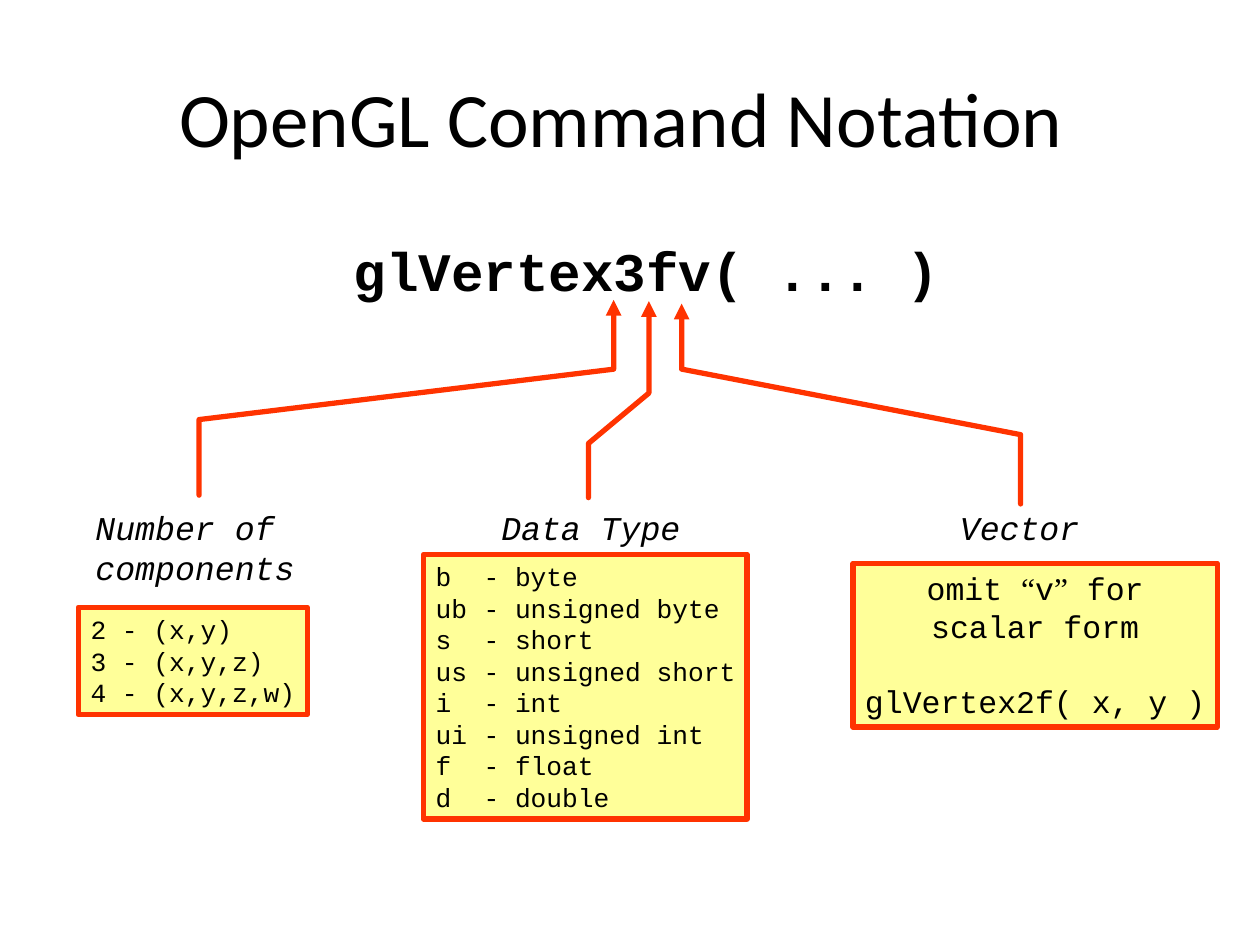
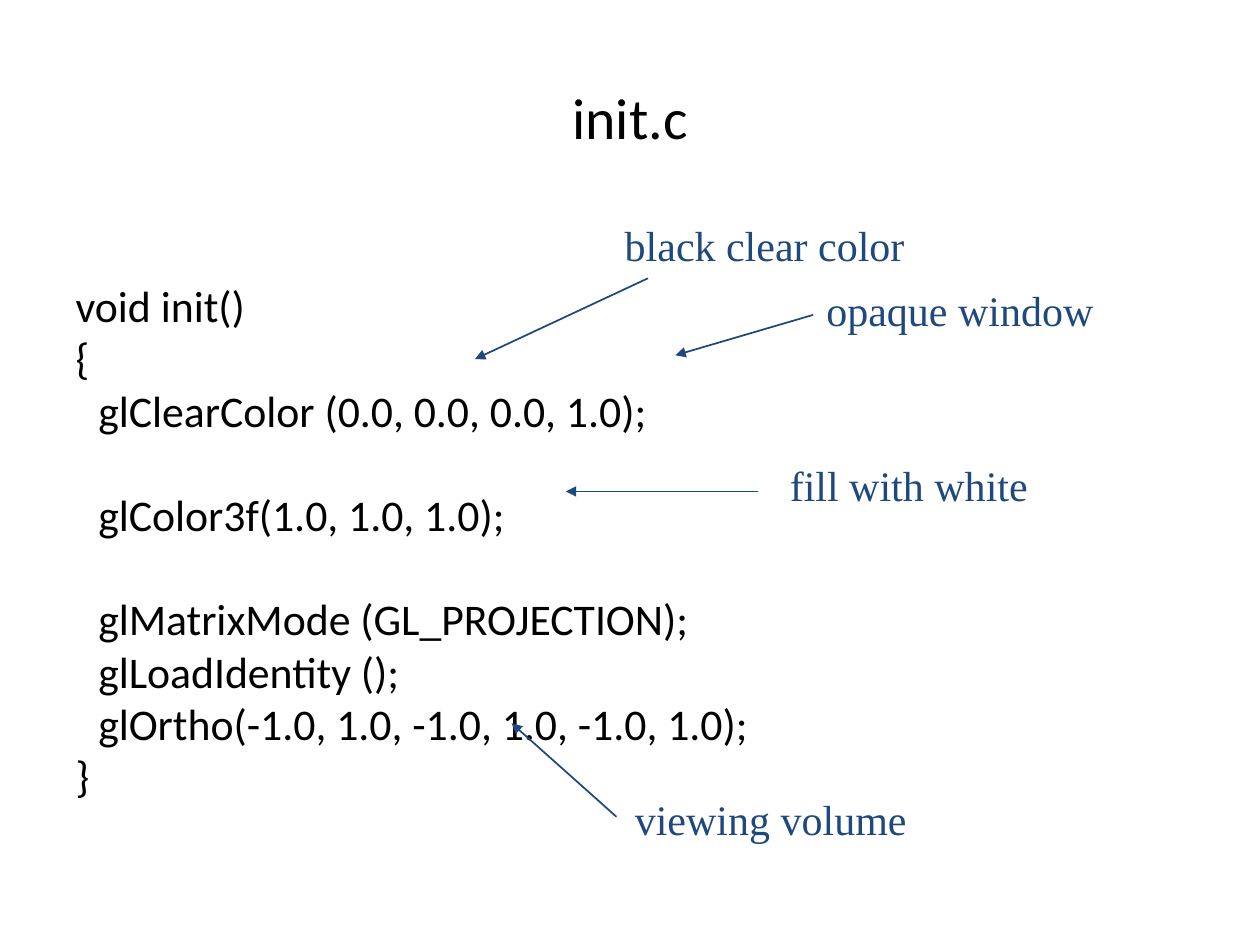
"""Build two slides on OpenGL command notation and an init function."""
from itertools import groupby

from lxml import etree
from pptx import Presentation
from pptx.dml.color import RGBColor
from pptx.enum.dml import MSO_LINE
from pptx.enum.shapes import MSO_CONNECTOR, MSO_SHAPE
from pptx.enum.text import MSO_ANCHOR, MSO_AUTO_SIZE, PP_ALIGN
from pptx.oxml.ns import qn
from pptx.util import Inches, Pt

SOLID = MSO_LINE.SOLID
STRAIGHT, RECT = MSO_CONNECTOR.STRAIGHT, MSO_SHAPE.RECTANGLE
TOP, MIDDLE = MSO_ANCHOR.TOP, MSO_ANCHOR.MIDDLE
NO_FIT = MSO_AUTO_SIZE.NONE
LEFT, CENTER = PP_ALIGN.LEFT, PP_ALIGN.CENTER

BLACK, RED, YELLOW, NAVY = "000000", "FF3300", "FFFF99", "1F497D"
SANS, MONO, SERIF = "Calibri", "Courier New", "Times New Roman"
QUOTES = "\u201c\u201d"

COMMAND = {"name": MONO, "size": Pt(31), "bold": True}
HEADING = {"name": MONO, "size": Pt(19), "italic": True}
LISTING = {"name": MONO, "size": Pt(15)}
REMARK = {"name": MONO, "size": Pt(18)}
CODE = {"name": SANS, "size": Pt(25)}
NOTE = {"name": SERIF, "size": Pt(24)}
FRAME = {"word_wrap": False, "auto_size": NO_FIT, "vertical_anchor": TOP}
CODE_PITCH = 29.85


def rgb(color):
    return RGBColor.from_string(color)


def apply(obj, fmt):
    for key, value in fmt.items():
        setattr(obj, key, value)


def place(sp, box):
    apply(sp, dict(zip(("left", "top", "width", "height"), map(Inches, box))))


def write(tf, lines, fmt, color=BLACK, align=LEFT):
    for i, line in enumerate(lines):
        p = tf.add_paragraph() if i else tf.paragraphs[0]
        p.alignment = align
        for quoted, chars in groupby(line, lambda c: c in QUOTES):
            r = p.add_run()
            r.text = "".join(chars)
            apply(r.font, {**fmt, "name": SERIF} if quoted else fmt)
            r.font.color.rgb = rgb(color)


def add_title(slide, text, size):
    sp = slide.shapes.title
    place(sp, (0.5, 0.3, 9, 1.25))
    apply(sp.text_frame, {"vertical_anchor": MIDDLE, "auto_size": NO_FIT})
    write(sp.text_frame, [text], {"name": SANS, "size": Pt(size)}, align=CENTER)


def add_label(slide, box, lines, fmt, color=BLACK, align=LEFT):
    sp = slide.shapes.add_textbox(*map(Inches, box))
    apply(sp.text_frame, FRAME)
    write(sp.text_frame, lines, fmt, color, align)


def add_panel(slide, box, lines, fmt, align=LEFT):
    sp = slide.shapes.add_shape(RECT, *map(Inches, box))
    sp.shadow.inherit = False
    sp.fill.solid()
    sp.fill.fore_color.rgb = rgb(YELLOW)
    sp.line.color.rgb = rgb(RED)
    sp.line.width = Pt(3)
    apply(sp.text_frame, FRAME)
    write(sp.text_frame, lines, fmt, align=align)
    return sp.text_frame


def set_tab(p, inches):
    tabs = etree.SubElement(p._p.get_or_add_pPr(), qn("a:tabLst"))
    etree.SubElement(tabs, qn("a:tab"), pos=str(Inches(inches)), algn="l")


def style_line(sp, color, width, end):
    sp.line.color.rgb = rgb(color)
    apply(sp.line, {"width": Pt(width), "dash_style": SOLID})
    ln = sp.line._ln
    ln.set("cap", "rnd")
    etree.SubElement(ln, qn("a:round"))
    etree.SubElement(ln, qn(end), type="triangle")


def add_pointer(slide, points):
    start, *rest = [tuple(map(Inches, pt)) for pt in points]
    builder = slide.shapes.build_freeform(*start)
    builder.add_line_segments(rest, close=False)
    sp = builder.convert_to_shape()
    sp.shadow.inherit = False
    sp.fill.background()
    style_line(sp, RED, 3, "a:headEnd")


def add_arrow(slide, start, end):
    sp = slide.shapes.add_connector(STRAIGHT, *map(Inches, start + end))
    style_line(sp, NAVY, 1, "a:tailEnd")
    etree.SubElement(sp._element.spPr, qn("a:effectLst"))


def add_code(slide, rows):
    """Fill the body with (gap lines before, indent, text) rows."""
    sp = slide.placeholders[1]
    place(sp, (0.5, 1.75, 9, 4.95))
    tf = sp.text_frame
    apply(tf, {"auto_size": NO_FIT, "margin_top": Inches(0.05) + Pt(CODE_PITCH)})
    write(tf, [text for _, _, text in rows], CODE)
    for p, (gap, indent, _) in zip(tf.paragraphs, rows):
        apply(p, {"line_spacing": Pt(CODE_PITCH), "space_before": Pt(gap * CODE_PITCH)})
        pPr = p._p.get_or_add_pPr()
        pPr.set("marL", str(Inches(indent)))
        pPr.set("indent", "0")
        etree.SubElement(pPr, qn("a:buNone"))


def notation_slide(prs):
    slide = prs.slides.add_slide(prs.slide_layouts[5])
    add_title(slide, "OpenGL Command Notation ", 44)
    add_label(slide, (2.71, 1.83, 4.84, 0.61), ["glVertex3fv( ... )"], COMMAND, align=CENTER)

    add_label(slide, (0.66, 3.98, 1.77, 0.73), ["Number of", "components"], HEADING)
    add_panel(slide, (0.62, 4.82, 1.82, 0.85),
              ["2 - (x,y)", "3 - (x,y,z)", "4 - (x,y,z,w)"], LISTING)

    add_label(slide, (3.88, 3.98, 1.61, 0.41), ["Data Type"], HEADING)
    types = (("b", "byte"), ("ub", "unsigned byte"), ("s", "short"),
             ("us", "unsigned short"), ("i", "int"), ("ui", "unsigned int"),
             ("f", "float"), ("d", "double"))
    tf = add_panel(slide, (3.36, 4.4, 2.57, 2.1),
                   [f"{code}\t- {name}" for code, name in types], LISTING)
    for p in tf.paragraphs:
        set_tab(p, 0.38)

    add_label(slide, (7.52, 3.98, 1.14, 0.41), ["Vector"], HEADING)
    tf = add_panel(slide, (6.77, 4.47, 2.89, 1.3),
                   ["omit \u201cv\u201d for", "scalar form", "glVertex2f( x, y )"],
                   REMARK, CENTER)
    tf.paragraphs[-1].space_before = Pt(21)

    for points in (
        ((5.15, 2.39), (5.15, 3.12), (4.67, 3.52), (4.67, 3.95)),
        ((4.87, 2.38), (4.87, 2.93), (1.58, 3.33), (1.58, 3.93)),
        ((5.41, 2.41), (5.41, 2.93), (8.1, 3.45), (8.1, 4)),
    ):
        add_pointer(slide, points)


def init_slide(prs):
    slide = prs.slides.add_slide(prs.slide_layouts[1])
    add_title(slide, "init.c", 33)
    add_code(slide, (
        (0, 0, "void init()"),
        (0, 0, "{"),
        (0, 0.18, "glClearColor (0.0, 0.0, 0.0, 1.0);"),
        (1, 0.18, "glColor3f(1.0, 1.0, 1.0);"),
        (1, 0.18, "glMatrixMode (GL_PROJECTION);"),
        (0, 0.18, "glLoadIdentity ();"),
        (0, 0.18, "glOrtho(-1.0, 1.0, -1.0, 1.0, -1.0, 1.0);"),
        (0, 0, "}"),
    ))
    for text, box, start, end in (
        ("black clear color", (4.86, 1.69, 2.42, 0.5), (5.14, 2.21), (3.77, 2.85)),
        ("opaque window", (6.46, 2.21, 2.32, 0.5), (6.45, 2.5), (5.36, 2.82)),
        ("fill with white", (6.17, 3.6, 2.09, 0.5), (6.01, 3.9), (4.49, 3.9)),
        ("viewing volume", (4.94, 6.25, 2.36, 0.5), (4.89, 6.48), (4.06, 5.74)),
    ):
        add_arrow(slide, start, end)
        add_label(slide, box, [text], NOTE, NAVY)


def main():
    prs = Presentation()
    apply(prs, {"slide_width": Inches(10), "slide_height": Inches(7.5)})
    notation_slide(prs)
    init_slide(prs)
    prs.save("out.pptx")


main()
